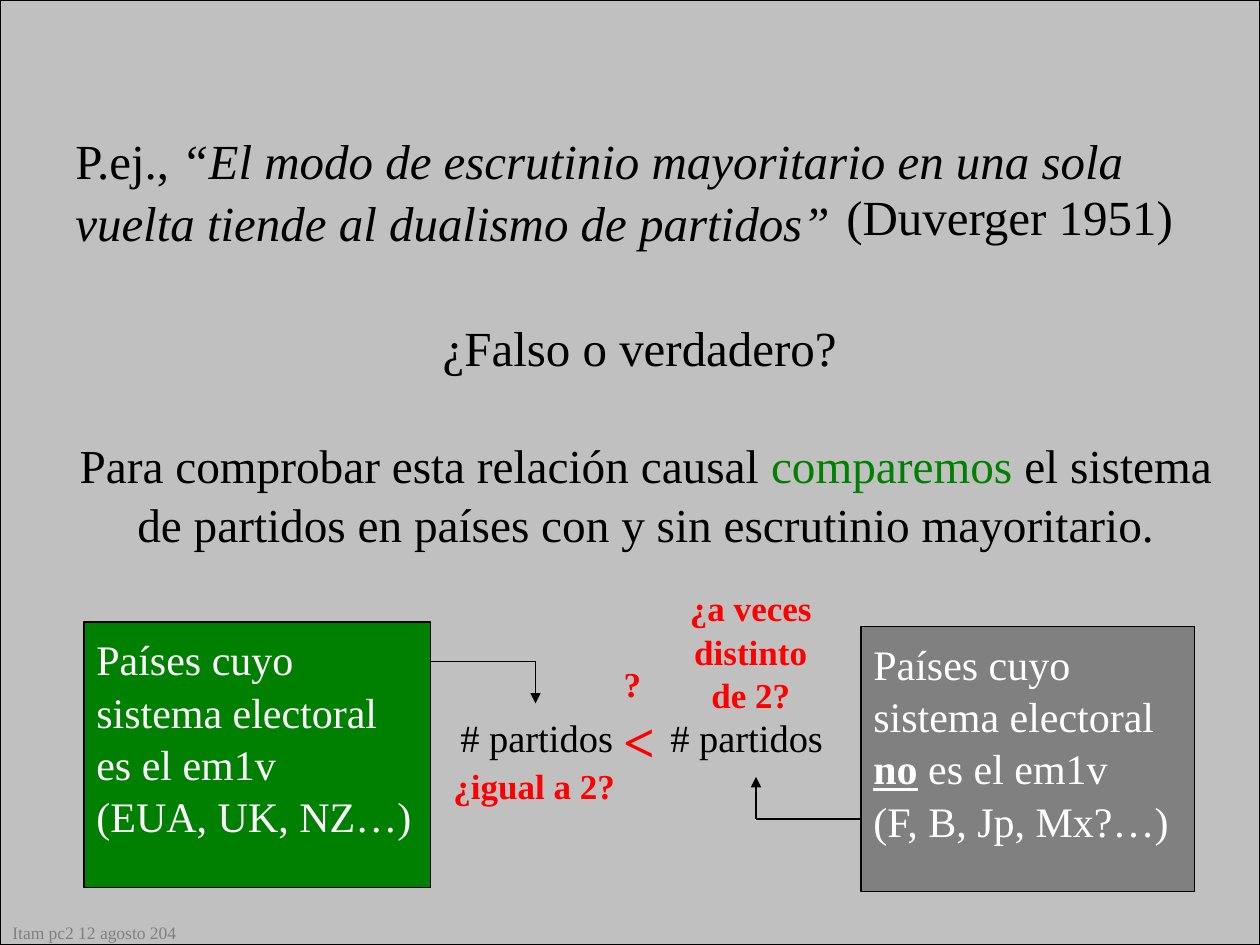
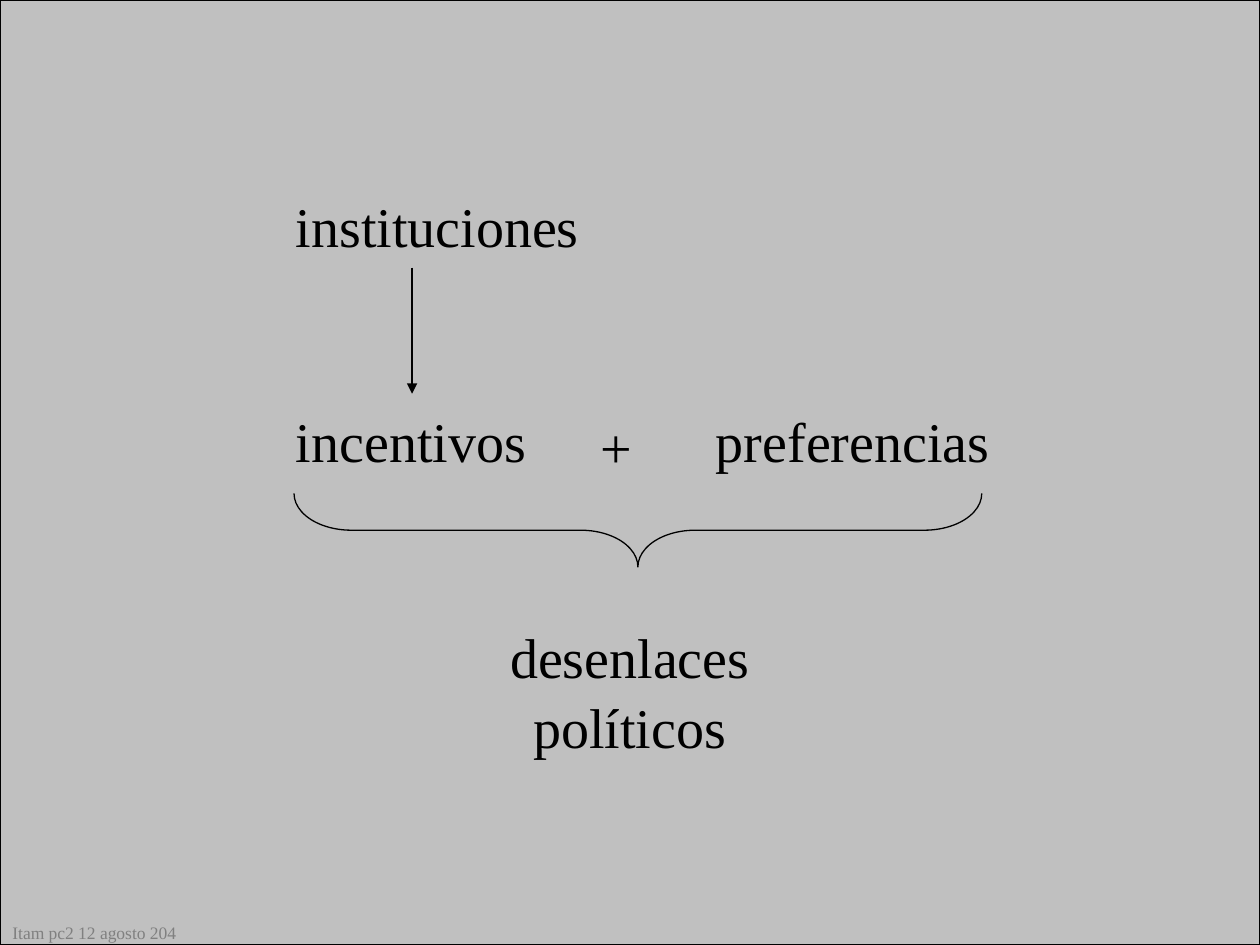
from lxml import etree
from pptx import Presentation
from pptx.dml.color import RGBColor
from pptx.enum import shapes, text
from pptx.oxml.ns import qn
from pptx.util import Pt

COLORS = {
    "ink": "000000",
    "paper": "C0C0C0",
    "muted": "808080",
    "green": "008000",
    "red": "FF0000",
    "white": "FFFFFF",
}
FONT = "Times New Roman"
PAGE_WIDTH, PAGE_HEIGHT = 720, 540
LINE_WIDTH = 0.75
LINE_SPACING = 1.04
LEFT, CENTER = text.PP_ALIGN.LEFT, text.PP_ALIGN.CENTER


def rgb(name):
    return RGBColor.from_string(COLORS[name])


def style_font(font, size=None, color=None, bold=None, italic=None, underline=None):
    if size:
        font.size = Pt(size)
    if color:
        font.color.rgb = rgb(color)
    if bold is not None:
        font.bold = bold
    if italic is not None:
        font.italic = italic
    if underline is not None:
        font.underline = underline


def write_text(box, paragraphs, size, color="ink", align=LEFT, bold=False, gap=0):
    frame = box.text_frame
    frame.word_wrap = True
    frame.vertical_anchor = text.MSO_ANCHOR.TOP
    frame.margin_left = frame.margin_right = Pt(7.2)
    frame.margin_top = Pt(3.6 + 0.08 * size)
    frame.margin_bottom = Pt(3.6)
    for index, spans in enumerate(paragraphs):
        para = frame.paragraphs[0] if index == 0 else frame.add_paragraph()
        para.alignment = align
        para.line_spacing = LINE_SPACING
        if index:
            para.space_before = Pt(gap)
        para.font.name = FONT
        style_font(para.font, size, color, bold)
        for content in [spans] if isinstance(spans, str) else spans:
            words, look = (content, {}) if isinstance(content, str) else content
            span = para.add_run()
            span.text = words
            style_font(span.font, **look)


def add_text(page, bounds, paragraphs, size, **look):
    box = page.shapes.add_textbox(*map(Pt, bounds))
    write_text(box, paragraphs, size, **look)


def add_outlined(page, kind, bounds, fill=None):
    shape = page.shapes.add_shape(kind, *map(Pt, bounds))
    shape.shadow.inherit = False
    if fill:
        shape.fill.solid()
        shape.fill.fore_color.rgb = rgb(fill)
    else:
        shape.fill.background()
    shape.line.color.rgb = rgb("ink")
    shape.line.width = Pt(LINE_WIDTH)
    return shape


def add_country_box(page, bounds, fill, paragraphs):
    box = add_outlined(page, shapes.MSO_SHAPE.RECTANGLE, bounds, fill)
    write_text(box, paragraphs, 24, color="white")


def add_arrow(page, *points):
    for start, end in zip(points, points[1:]):
        line = page.shapes.add_connector(
            shapes.MSO_CONNECTOR.STRAIGHT, *map(Pt, start + end))
        line.line.color.rgb = rgb("ink")
        line.line.width = Pt(LINE_WIDTH)
        properties = line._element.spPr
        if end == points[-1]:
            outline = properties.find(qn("a:ln"))
            etree.SubElement(outline, qn("a:tailEnd"), type="triangle")
        etree.SubElement(properties, qn("a:effectLst"))


def add_page(deck):
    page = deck.slides.add_slide(deck.slide_layouts[6])
    add_outlined(page, shapes.MSO_SHAPE.RECTANGLE,
                 (0, 0, PAGE_WIDTH, PAGE_HEIGHT), "paper")
    add_text(page, (0, 522, 132, 18), ["Itam pc2 12 agosto 204"], 10, color="muted")
    return page


def build_duverger(deck):
    page = add_page(deck)
    quote = ("“El modo de escrutinio mayoritario en una sola vuelta "
             "tiende al dualismo de partidos”")
    add_text(page, (36, 67.7, 666, 75),
             [["P.ej., ", (quote, {"italic": True})]], 28)
    add_text(page, (476.5, 99.4, 225.5, 40), ["(Duverger 1951)"], 28)
    add_text(page, (36, 174.2, 666, 138), [
        [("¿Falso o verdadero? ", {"size": 28})],
        ["Para comprobar esta relación causal ",
         ("comparemos", {"color": "green"}),
         " el sistema de partidos en países con y sin escrutinio mayoritario."],
    ], 27, align=CENTER, gap=33)

    add_country_box(page, (48, 355.5, 198, 151.5), "green", [
        "Países cuyo", "sistema electoral", "es el em1v", "(EUA, UK, NZ…)"])
    add_country_box(page, (492, 358, 190.5, 151.5), "muted", [
        "Países cuyo", "sistema electoral",
        [("no", {"bold": True, "underline": True}), " es el em1v"],
        "(F, B, Jp, Mx?…)"])

    for left in (256, 376):
        add_text(page, (left, 401.8, 108, 34), ["# partidos"], 22)
    add_arrow(page, (246, 378), (306, 378), (306, 402))
    add_arrow(page, (492, 468), (432, 468), (432, 444))

    add_text(page, (252, 430.5, 114, 32), ["¿igual a 2?"], 20, color="red", bold=True)
    add_text(page, (384, 329, 90, 79), ["¿a veces distinto", "de 2?"], 20,
             color="red", bold=True, align=CENTER)
    add_text(page, (349.2, 372.2, 60, 70), ["?", [("<", {"size": 32})]], 20,
             color="red", bold=True)


def build_outcomes(deck):
    page = add_page(deck)
    for word, left, top, width in (
        ("instituciones", 162, 102, 192),
        ("incentivos", 162, 224.6, 168),
        ("+", 336, 228.2, 36),
        ("preferencias", 402, 224.6, 192),
    ):
        add_text(page, (left, top, width, 46), [word], 32)
    add_text(page, (264, 348, 192, 84), ["desenlaces políticos"], 32, align=CENTER)

    brace = add_outlined(page, shapes.MSO_SHAPE.RIGHT_BRACE, (343.5, 106.5, 42, 393))
    brace.rotation = 90
    brace.adjustments[0] = 0.78
    brace.adjustments[1] = 0.5
    add_arrow(page, (235.5, 153), (235.5, 225))


def main():
    deck = Presentation()
    deck.slide_width, deck.slide_height = Pt(PAGE_WIDTH), Pt(PAGE_HEIGHT)
    build_duverger(deck)
    build_outcomes(deck)
    deck.save("out.pptx")


if __name__ == "__main__":
    main()
